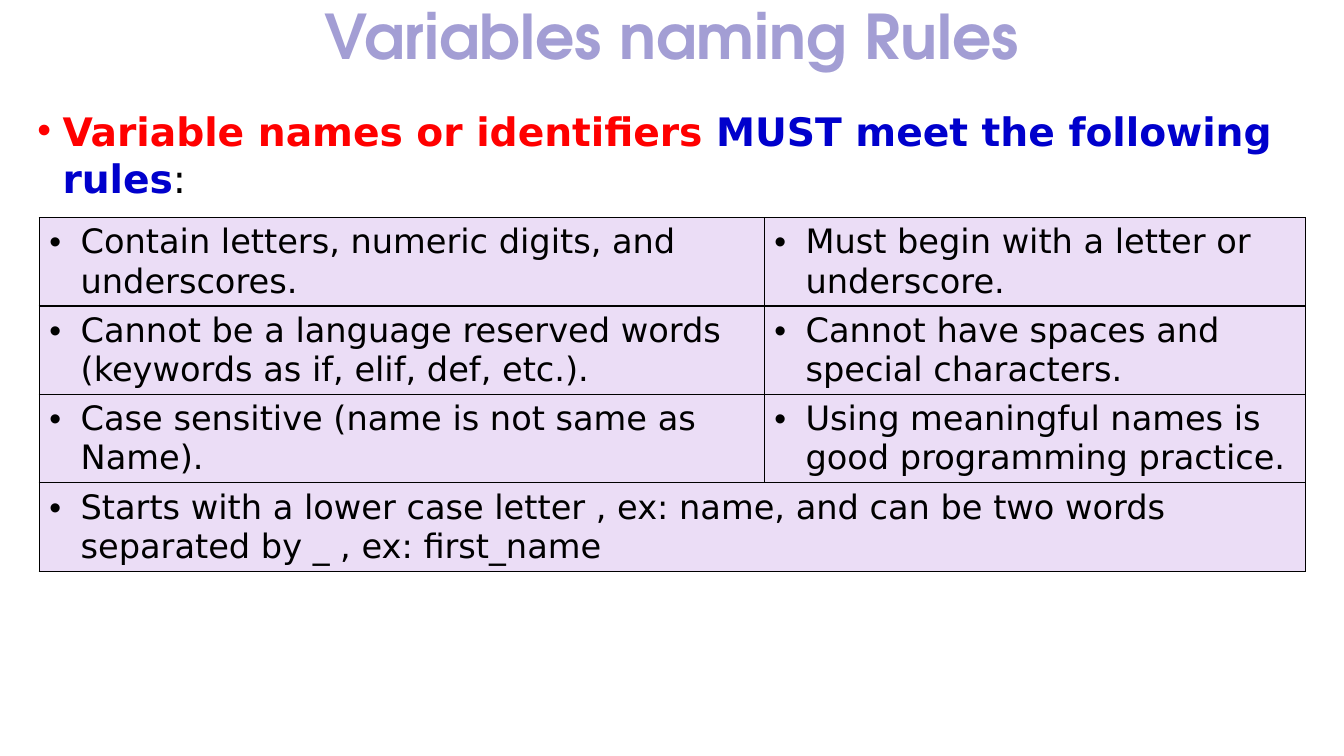
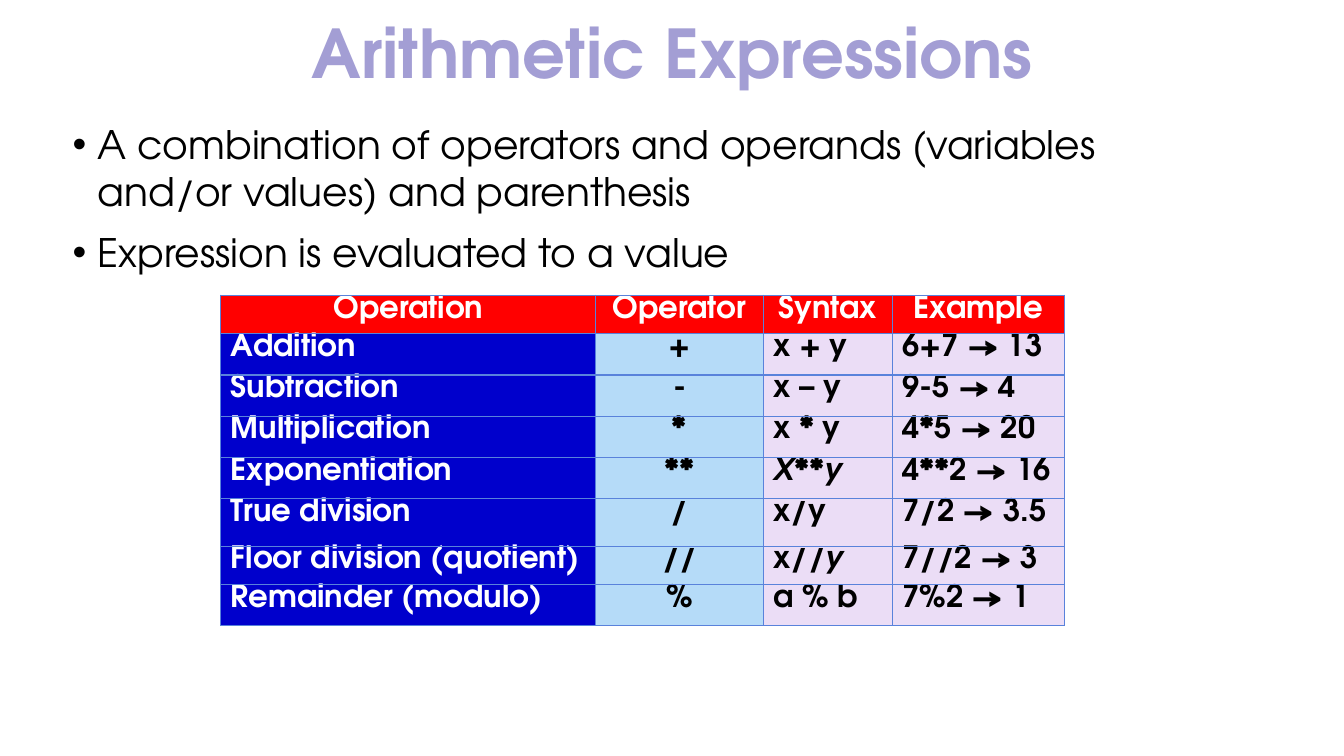
"""Build two slides on variable names and arithmetic expressions."""
from lxml.etree import SubElement as Sub
from pptx import Presentation
from pptx.dml.color import RGBColor as Rgb
from pptx.enum.text import MSO_ANCHOR as Anchor, MSO_AUTO_SIZE as Fit, PP_ALIGN as Align
from pptx.oxml.ns import qn
from pptx.util import Inches, Pt


class Theme:
    title = Rgb.from_string("A39ED4")
    red = Rgb.from_string("FF0000")
    blue = Rgb.from_string("0000CC")
    sky = Rgb.from_string("B5DBF8")
    lilac = Rgb.from_string("EBDDF6")
    black = Rgb.from_string("000000")
    white = Rgb.from_string("FFFFFF")
    edge = Rgb.from_string("5982DB")
    plain = "DejaVu Sans"
    round = "TeX Gyre Adventor"
    body = Pt(28)
    rule = Pt(24)
    cell = Pt(22)


deck = Presentation()
deck.slide_width, deck.slide_height = Inches(13.33), Inches(7.5)


def page(title, size, height, spread, box, face, gap, lines):
    slide = deck.slides.add_slide(deck.slide_layouts[1])
    head, body = slide.placeholders
    areas = (head, (0, 0, 13.33, height)), (body, box)
    for shape, area in areas:
        shape.left, shape.top, shape.width, shape.height = map(Inches, area)
        shape.text_frame.auto_size = Fit.NONE
    head.text_frame.text = title
    head.text_frame.vertical_anchor = Anchor.MIDDLE
    par = head.text_frame.paragraphs[0]
    par.alignment, par.line_spacing = Align.CENTER, spread
    par.font.name, par.font.size, par.font.bold = Theme.round, Pt(size), True
    par.font.color.rgb = Theme.title
    frame = body.text_frame
    for i, runs in enumerate(lines):
        par = frame.add_paragraph() if i else frame.paragraphs[0]
        par.space_before = Pt(gap if i else 0)
        props = par._p.get_or_add_pPr()
        props.set("marL", str(Inches(0.25)))
        props.set("indent", str(-Inches(0.25)))
        par.font.name, par.font.size = face, Theme.body
        for text, color, bold in runs:
            run = par.add_run()
            run.text = text
            run.font.color.rgb, run.font.bold = color, bold
    return slide


def grid(slide, left, top, cols, rows, edge):
    area = map(Inches, (left, top, sum(cols), sum(rows)))
    table = slide.shapes.add_table(len(rows), len(cols), *area).table
    table.first_row = table.horz_banding = False
    for col, width in zip(table.columns, cols):
        col.width = Inches(width)
    for row, height in zip(table.rows, rows):
        row.height = Inches(height)
    for cell in table.iter_cells():
        props = cell._tc.get_or_add_tcPr()
        for side in "LRTB":
            line = Sub(props, qn(f"a:ln{side}"), w=str(Pt(1)))
            Sub(Sub(line, qn("a:solidFill")), qn("a:srgbClr"), val=str(edge))
    return table


slide = page(
    "Variables naming Rules", 44, 0.79, 0.9, (0.27, 1.01, 12.79, 5.27), Theme.plain, 12,
    [[("Variable names or identifiers", Theme.red, True),
      (" MUST meet the following rules", Theme.blue, True),
      (":", Theme.black, False)]])
rules = [
    ("Contain letters, numeric digits, and underscores.",
     "Must begin with a letter or underscore."),
    ("Cannot be a language reserved words (keywords as if, elif, def, etc.).",
     "Cannot have spaces and special characters."),
    ("Case sensitive (name is not same as Name).",
     "Using meaningful names is good programming practice."),
    ("Starts with a lower case letter , ex: name, and can be two words "
     "separated by _ , ex: first_name",),
]
table = grid(slide, 0.39, 2.16, [7.19, 5.37], [0.87] * len(rules), Theme.black)
table.cell(3, 0).merge(table.cell(3, 1))
for cell in table.iter_cells():
    cell.fill.solid()
    cell.fill.fore_color.rgb = Theme.lilac
for r, row in enumerate(rules):
    for c, text in enumerate(row):
        cell = table.cell(r, c)
        cell.text = text
        par = cell.text_frame.paragraphs[0]
        props = par._p.get_or_add_pPr()
        props.set("marL", str(Inches(0.31)))
        props.set("indent", str(-Inches(0.31)))
        Sub(props, qn("a:buFont"), typeface="Arial")
        Sub(props, qn("a:buChar"), char="•")
        par.font.name, par.font.size = Theme.plain, Theme.rule
        par.font.color.rgb = Theme.black

points = [
    "A combination of operators and operands (variables and/or values) and parenthesis",
    "Expression is evaluated to a value",
]
slide = page(
    "Arithmetic Expressions", 48, 1.02, 1.0, (0.62, 1.14, 11.5, 4.3), Theme.round, 10,
    [[(text, Theme.black, False)] for text in points])
sums = [
    ("Operation", "Operator", "Syntax", "Example"),
    ("Addition", "+", "x + y", "6+7 → 13"),
    ("Subtraction", "-", "x – y", "9-5 → 4"),
    ("Multiplication", "*", "x * y", "4*5 → 20"),
    ("Exponentiation", "**", "|X**y", "4**2 → 16"),
    ("True division", "/", "x/y", "7/2 → 3.5"),
    ("Floor division (quotient)", "//", "x//|y", "7//2 → 3"),
    ("Remainder (modulo)", "%", "a % b", "7%2 → 1"),
]
table = grid(slide, 2.19, 2.93, [3.72, 1.66, 1.28, 1.71],
             [0.38, 0.41, 0.41, 0.41, 0.41, 0.47, 0.38, 0.41], Theme.edge)
fills = [Theme.blue, Theme.sky, Theme.lilac, Theme.lilac]
for r, row in enumerate(sums):
    for c, text in enumerate(row):
        cell = table.cell(r, c)
        cell.margin_top = cell.margin_bottom = 0
        cell.fill.solid()
        cell.fill.fore_color.rgb = fills[c] if r else Theme.red
        par = cell.text_frame.paragraphs[0]
        par.alignment = Align.CENTER if r == 0 or c == 1 else Align.LEFT
        par.font.name, par.font.size, par.font.bold = Theme.round, Theme.cell, True
        par.font.color.rgb = Theme.black if r and c else Theme.white
        start, _, slant = text.partition("|")
        for part, italic in ((start, False), (slant, True)):
            if part:
                run = par.add_run()
                run.text, run.font.italic = part, italic

deck.save("out.pptx")
